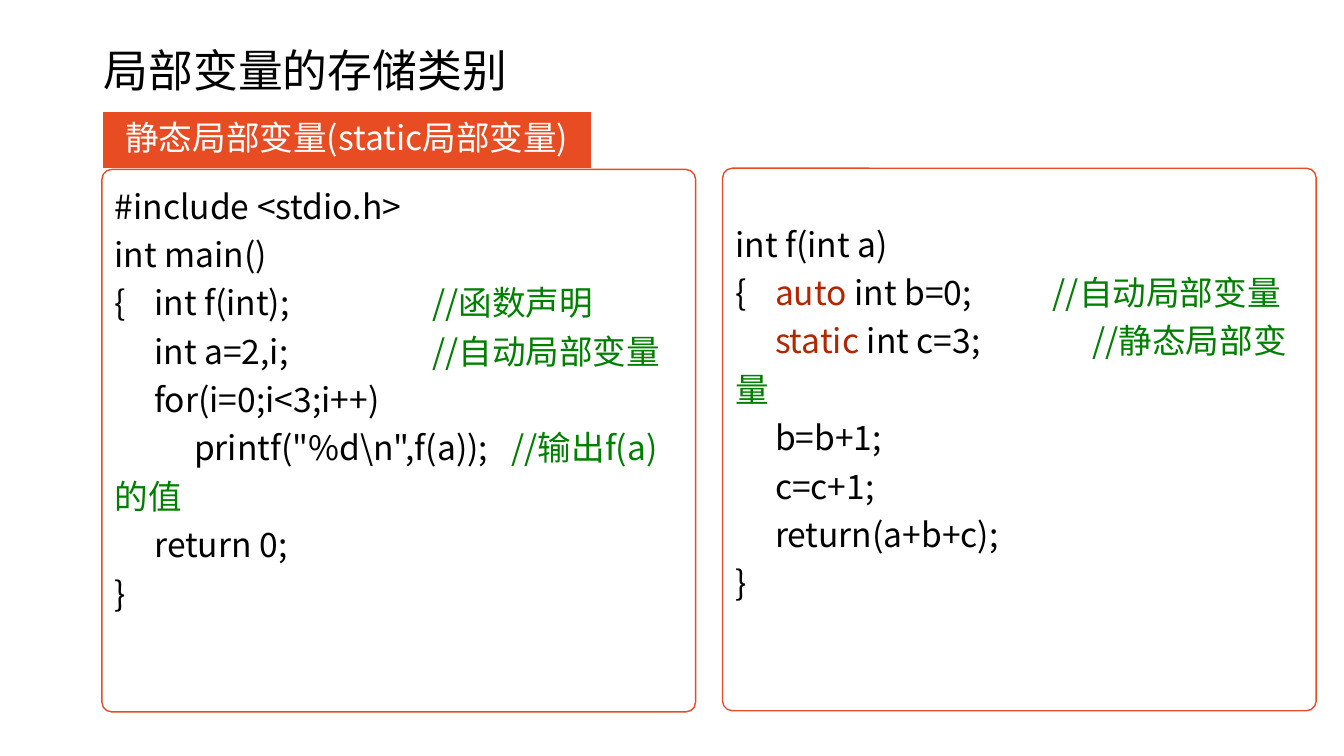
"""Build a slide on the storage classes of local variables in C."""
from lxml import etree
from pptx import Presentation
from pptx import util as u
from pptx.dml.color import RGBColor
from pptx.enum import shapes, text
from pptx.oxml import ns

FONT = "Noto Sans CJK SC"
BLACK = RGBColor(0x00, 0x00, 0x00)
WHITE = RGBColor(0xFF, 0xFF, 0xFF)
ORANGE = RGBColor(0xE8, 0x4C, 0x22)
GREEN = RGBColor(0x00, 0x80, 0x00)
RED = RGBColor(0xB2, 0x26, 0x00)
TAB_COUNT = 12

MAIN_CODE = [
    [("#include <stdio.h>", BLACK)],
    [("int main()", BLACK)],
    [("{\tint f(int);\t\t\t\t", BLACK), ("//函数声明", GREEN)],
    [("\tint a=2,i;\t\t\t\t", BLACK), ("//自动局部变量", GREEN)],
    [("\tfor(i=0;i<3;i++)", BLACK)],
    [('\t\tprintf("%d\\n",f(a));\t', BLACK), ("//输出f(a)的值", GREEN)],
    [("\treturn 0;", BLACK)],
    [("}", BLACK)],
]
FUNCTION_CODE = [
    [("int f(int a)", BLACK)],
    [("{\t", BLACK), ("auto ", RED), ("int b=0;\t\t\t", BLACK), ("//自动局部变量", GREEN)],
    [("\t", BLACK), ("static ", RED), ("int c=3;\t\t\t", BLACK), ("//静态局部变量", GREEN)],
    [("\tb=b+1;", BLACK)],
    [("\tc=c+1;", BLACK)],
    [("\treturn(a+b+c);", BLACK)],
    [("}", BLACK)],
]


def add_run(paragraph, words, size, color):
    """Add one run with its Latin and East Asian font."""
    run = paragraph.add_run()
    run.text = words
    run.font.size = u.Pt(size)
    run.font.color.rgb = color
    run.font.name = FONT
    latin = run.font._element.find(ns.qn("a:latin"))
    east_asian = etree.Element(ns.qn("a:ea"), typeface=FONT)
    latin.addnext(east_asian)


def add_tab_stops(paragraph):
    """Give a paragraph tab stops one centimetre apart."""
    properties = paragraph._p.get_or_add_pPr()
    tabs = etree.SubElement(properties, ns.qn("a:tabLst"))
    for number in range(1, TAB_COUNT + 1):
        etree.SubElement(tabs, ns.qn("a:tab"), pos=str(u.Cm(number)), algn="l")


def add_title(slide, words):
    """Place and fill the title placeholder."""
    title = slide.shapes.title
    title.left, title.top = u.Cm(2.36), u.Cm(0)
    title.width, title.height = u.Cm(29.21), u.Cm(3.68)
    frame = title.text_frame
    frame.auto_size = text.MSO_AUTO_SIZE.NONE
    frame.vertical_anchor = text.MSO_ANCHOR.MIDDLE
    paragraph = frame.paragraphs[0]
    paragraph.alignment = text.PP_ALIGN.LEFT
    paragraph.line_spacing = 0.9
    add_run(paragraph, words, 32, BLACK)


def add_box(slide, kind, box, fill, line, line_width):
    """Add a filled and outlined shape without a shadow."""
    shape = slide.shapes.add_shape(kind, *[u.Cm(length) for length in box])
    shape.shadow.inherit = False
    shape.fill.solid()
    shape.fill.fore_color.rgb = fill
    shape.line.color.rgb = line
    shape.line.width = u.Pt(line_width)
    shape.text_frame.word_wrap = True
    return shape


def add_heading(slide, words):
    """Add the coloured heading bar."""
    shape = add_box(slide, shapes.MSO_SHAPE.RECTANGLE,
                    (2.57, 2.79, 12.34, 1.47), ORANGE, WHITE, 1.5)
    shape.text_frame.vertical_anchor = text.MSO_ANCHOR.MIDDLE
    paragraph = shape.text_frame.paragraphs[0]
    paragraph.alignment = text.PP_ALIGN.CENTER
    paragraph.line_spacing = 0.9
    add_run(paragraph, words, 24, WHITE)


def add_code_panel(slide, left, top, margin_top, lines):
    """Add a rounded panel holding lines of coloured code."""
    shape = add_box(slide, shapes.MSO_SHAPE.ROUNDED_RECTANGLE,
                    (left, top, 14.96, 13.67), WHITE, ORANGE, 1)
    shape.adjustments[0] = 0.018
    frame = shape.text_frame
    frame.vertical_anchor = text.MSO_ANCHOR.TOP
    frame.margin_top = u.Cm(margin_top)
    for index, line in enumerate(lines):
        paragraph = frame.add_paragraph() if index else frame.paragraphs[0]
        add_tab_stops(paragraph)
        paragraph.alignment = text.PP_ALIGN.LEFT
        paragraph.line_spacing = 1.2
        for words, color in line:
            add_run(paragraph, words, 24, color)


def main():
    """Build and save the slide."""
    presentation = Presentation()
    presentation.slide_width = u.Cm(33.87)
    presentation.slide_height = u.Cm(19.05)
    slide = presentation.slides.add_slide(presentation.slide_layouts[5])
    add_title(slide, "局部变量的存储类别")
    add_heading(slide, "静态局部变量(static局部变量)")
    add_code_panel(slide, 2.57, 4.27, 0.13, MAIN_CODE)
    add_code_panel(slide, 18.21, 4.24, 1.12, FUNCTION_CODE)
    presentation.save("out.pptx")


if __name__ == "__main__":
    main()
